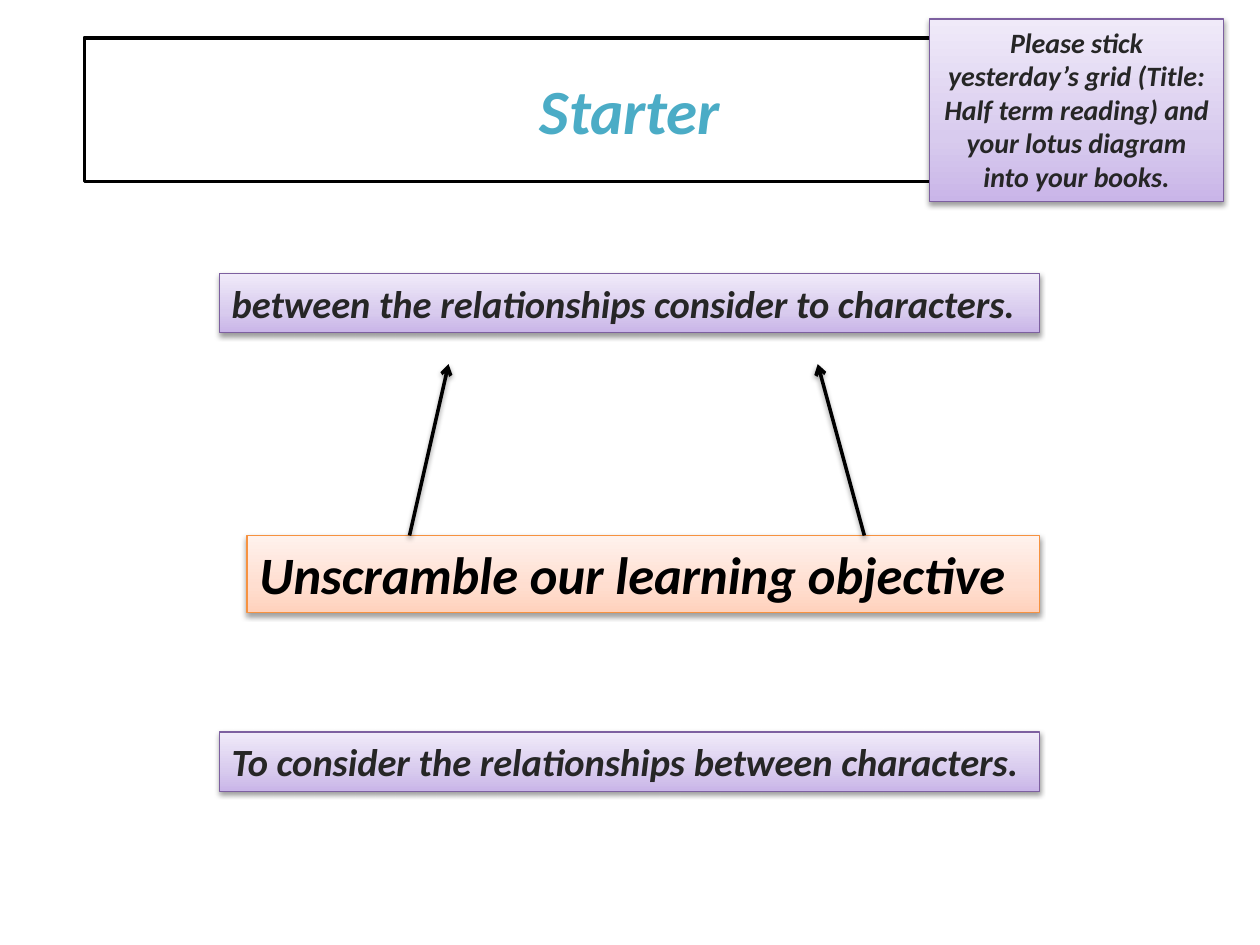
from dataclasses import dataclass

from lxml.etree import SubElement
from pptx import Presentation
from pptx.dml.color import RGBColor
from pptx.enum.shapes import MSO_CONNECTOR as Connector, MSO_SHAPE as Shape
from pptx.enum.text import MSO_ANCHOR as Anchor, MSO_AUTO_SIZE as AutoSize, PP_ALIGN as Align
from pptx.oxml.ns import qn
from pptx.util import Inches, Pt


@dataclass(frozen=True)
class Theme:
    font: str = "Calibri"
    white: str = "FFFFFF"
    black: str = "000000"
    heading: str = "4BACC6"
    dark: str = "262626"
    purple_line: str = "7D60A0"
    orange_line: str = "F69240"
    # Gradient stops: (percent, colour), from the bottom up
    purple: tuple = ((0, "C9B5E8"), (35, "D8CBEE"), (100, "F0EAF9"))
    orange: tuple = ((0, "FFD2BD"), (35, "FFDED0"), (100, "FFF2ED"))
    title_size: int = 36
    task_size: int = 30
    objective_size: int = 22
    note_size: int = 16
    thin: float = 0.75
    thick: float = 2


THEME = Theme()


def place(shape, left, top, width, height):
    shape.left, shape.top = Inches(left), Inches(top)
    shape.width, shape.height = Inches(width), Inches(height)


def write_text(shape, text, *, size, color, align=Align.LEFT, anchor=Anchor.TOP,
               wrap=True, auto_size=AutoSize.SHAPE_TO_FIT_TEXT):
    frame = shape.text_frame
    frame.word_wrap = wrap
    frame.auto_size = auto_size
    frame.vertical_anchor = anchor
    paragraph = frame.paragraphs[0]
    paragraph.alignment = align
    run = paragraph.add_run()
    run.text = text
    font = run.font
    font.name, font.size = THEME.font, Pt(size)
    font.bold = font.italic = True
    font.color.rgb = RGBColor.from_string(color)


def style_line(line, color, width):
    line.color.rgb = RGBColor.from_string(color)
    line.width = Pt(width)


def fill_gradient(fill, properties, stops):
    fill.gradient()
    fill.gradient_angle = 90
    stop_list = properties.find(qn("a:gradFill")).find(qn("a:gsLst"))
    for old_stop in list(stop_list):
        stop_list.remove(old_stop)
    for percent, color in stops:
        stop = SubElement(stop_list, qn("a:gs"), pos=str(percent * 1000))
        SubElement(stop, qn("a:srgbClr"), val=color)


def add_shadow(properties):
    effects = properties.find(qn("a:effectLst"))
    if effects is None:
        effects = SubElement(properties, qn("a:effectLst"))
    shadow = SubElement(effects, qn("a:outerShdw"), blurRad=str(Pt(3.1)),
                        dist=str(Pt(1.6)), dir="5400000", rotWithShape="0")
    color = SubElement(shadow, qn("a:srgbClr"), val=THEME.black)
    SubElement(color, qn("a:alpha"), val="38000")


def add_title(slide, text):
    title = slide.shapes.title
    place(title, 0.67, 0.3, 8.66, 1.14)
    title.fill.solid()
    title.fill.fore_color.rgb = RGBColor.from_string(THEME.white)
    style_line(title.line, THEME.black, THEME.thick)
    write_text(title, text, size=THEME.title_size, color=THEME.heading,
               align=Align.CENTER, anchor=Anchor.MIDDLE, auto_size=AutoSize.NONE)


def add_card(slide, text, box, *, stops=THEME.purple, border=THEME.purple_line,
             color=THEME.dark, **text_format):
    card = slide.shapes.add_shape(Shape.RECTANGLE, *(Inches(v) for v in box))
    properties = card._element.spPr
    fill_gradient(card.fill, properties, stops)
    style_line(card.line, border, THEME.thin)
    card.shadow.inherit = False
    add_shadow(properties)
    write_text(card, text, color=color, **text_format)


def add_arrow(slide, start, end):
    arrow = slide.shapes.add_connector(
        Connector.STRAIGHT, *(Inches(v) for v in (*start, *end)))
    style_line(arrow.line, THEME.black, THEME.thick)
    properties = arrow._element.spPr
    SubElement(properties.find(qn("a:ln")), qn("a:tailEnd"), type="arrow")
    add_shadow(properties)


def main():
    deck = Presentation()
    deck.slide_width, deck.slide_height = Inches(10), Inches(7.5)
    slide = deck.slides.add_slide(deck.slide_layouts[5])

    add_title(slide, "Starter")

    # Scrambled objective above, solution below
    objectives = (
        ("between the relationships consider to characters.", 2.17),
        ("To consider the relationships between characters.", 5.81),
    )
    for objective, top in objectives:
        add_card(slide, objective, (1.74, top, 6.51, 0.47), size=THEME.objective_size)

    # Task, with arrows up to the scrambled words
    task_top, arrow_top = 4.25, 2.89
    add_card(slide, "Unscramble our learning objective", (1.96, task_top, 6.29, 0.61),
             stops=THEME.orange, border=THEME.orange_line, color=THEME.black,
             size=THEME.task_size, wrap=False)
    for start_x, end_x in ((6.86, 6.49), (3.25, 3.56)):
        add_arrow(slide, (start_x, task_top), (end_x, arrow_top))

    # Reminder over the corner of the title
    add_card(slide, "Please stick yesterday’s grid (Title: Half term reading) "
             "and your lotus diagram into your books.", (7.38, 0.15, 2.33, 1.45),
             size=THEME.note_size, align=Align.CENTER)

    deck.save("out.pptx")


if __name__ == "__main__":
    main()
